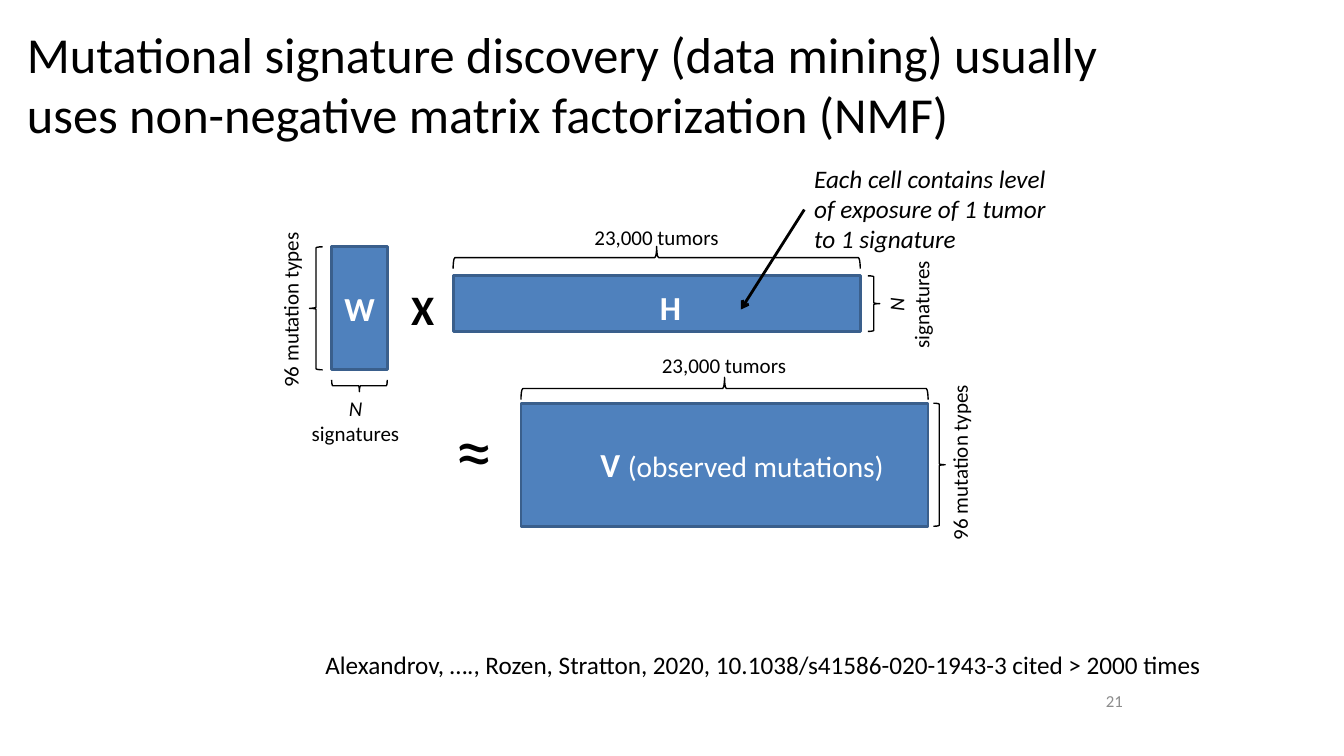
import pptx
import pptx.dml.color
import pptx.enum.shapes
import pptx.enum.text
import pptx.oxml
import pptx.oxml.ns
import pptx.util

Cm = pptx.util.Cm
Pt = pptx.util.Pt
SHAPE = pptx.enum.shapes.MSO_SHAPE
ALIGN = pptx.enum.text.PP_ALIGN
ANCHOR = pptx.enum.text.MSO_ANCHOR
FIT = pptx.enum.text.MSO_AUTO_SIZE

COLOURS = {"black": "000000", "white": "FFFFFF", "blue": "4F81BD",
           "edge": "3A5F8C", "grey": "8C8C8C"}
N_SIGNATURES = [[("N", {"italic": True})], [("signatures", {})]]


def colour(name):
    return pptx.dml.color.RGBColor.from_string(COLOURS[name])


def write(tf, text, size=15, color="black", bold=False, italic=False, align=ALIGN.LEFT):
    """Write a string, or a list of paragraphs of (text, format overrides) runs."""
    lines = [[(text, {})]] if isinstance(text, str) else text
    for i, line in enumerate(lines):
        p = tf.add_paragraph() if i else tf.paragraphs[0]
        p.alignment = align
        for words, changes in line:
            style = {"size": size, "bold": bold, "italic": italic, **changes}
            r = p.add_run()
            r.text = words
            r.font.name = "Calibri"
            r.font.size = Pt(style["size"])
            r.font.bold = style["bold"]
            r.font.italic = style["italic"]
            r.font.color.rgb = colour(color)


class Diagram:
    BRACES = {"left": (SHAPE.LEFT_BRACE, 0), "right": (SHAPE.LEFT_BRACE, 180),
              "bottom": (SHAPE.LEFT_BRACE, 270), "top": (SHAPE.RIGHT_BRACE, 270)}

    def __init__(self, prs):
        self.s = prs.slides.add_slide(prs.slide_layouts[6])

    def outline(self, sp, width, color="black"):
        sp.line.color.rgb = colour(color)
        sp.line.width = Pt(width)

    def text(self, box, text, rotation=0, wrap=False, anchor=ANCHOR.TOP, **style):
        sp = self.s.shapes.add_textbox(*map(Cm, box))
        sp.rotation = rotation
        tf = sp.text_frame
        tf.word_wrap = wrap
        tf.auto_size = FIT.NONE if wrap else FIT.SHAPE_TO_FIT_TEXT
        tf.vertical_anchor = anchor
        write(tf, text, **style)

    def matrix(self, box, label=""):
        sp = self.s.shapes.add_shape(SHAPE.RECTANGLE, *map(Cm, box))
        sp.shadow.inherit = False
        sp.fill.solid()
        sp.fill.fore_color.rgb = colour("blue")
        self.outline(sp, 2, "edge")
        if label:
            sp.text_frame.vertical_anchor = ANCHOR.MIDDLE
            write(sp.text_frame, label, size=24, color="white", bold=True, align=ALIGN.CENTER)

    def brace(self, box, side, gap, depth=0.3):
        """Span one side of a matrix box; the brace turns about its centre."""
        x, y, w, h = box
        reach = gap + depth / 2
        cx, cy = {"left": (x - reach, y + h / 2), "right": (x + w + reach, y + h / 2),
                  "top": (x + w / 2, y - reach), "bottom": (x + w / 2, y + h + reach)}[side]
        span = h if side in ("left", "right") else w
        kind, rotation = self.BRACES[side]
        sp = self.s.shapes.add_shape(kind, Cm(cx - depth / 2), Cm(cy - span / 2),
                                     Cm(depth), Cm(span))
        sp.rotation = rotation
        sp.shadow.inherit = False
        sp.fill.background()
        self.outline(sp, 1)

    def arrow(self, x1, y1, x2, y2):
        sp = self.s.shapes.add_connector(pptx.enum.shapes.MSO_CONNECTOR.STRAIGHT,
                                         Cm(x1), Cm(y1), Cm(x2), Cm(y2))
        self.outline(sp, 2)
        qn = pptx.oxml.ns.qn
        tail = sp.line._get_or_add_ln().makeelement(qn("a:tailEnd"), {"type": "arrow"})
        sp.line._get_or_add_ln().append(tail)
        sp._element.spPr.append(tail.makeelement(qn("a:effectLst"), {}))


def main():
    prs = pptx.Presentation()
    prs.slide_width, prs.slide_height = Cm(33.87), Cm(19.05)
    d = Diagram(prs)
    d.text((0.43, 0.2, 28.58, 3.81),
           "Mutational signature discovery (data mining) usually uses "
           "non-negative matrix factorization (NMF)",
           wrap=True, anchor=ANCHOR.MIDDLE, size=36)

    w_box = (8.36, 6.22, 1.4, 3.1)
    h_box = (11.42, 6.95, 10.26, 1.4)
    v_box = (13.13, 10.16, 10.26, 3.1)

    d.matrix(w_box, "W")
    d.brace(w_box, "left", 0.23, 0.33)
    d.brace(w_box, "bottom", 0.25)
    d.text((7.59, 9.83, 2.74, 1.55), N_SIGNATURES, align=ALIGN.CENTER)

    d.matrix(h_box)
    d.brace(h_box, "top", 0.18, 0.56)
    d.brace(h_box, "right", 0.19)
    d.text((21.54, 6.91, 2.74, 1.55), N_SIGNATURES, rotation=270, align=ALIGN.CENTER)
    d.arrow(20.27, 5.28, 18.67, 7.8)
    d.text((20.27, 3.99, 6.91, 2.57),
           "Each cell contains level of exposure of 1 tumor to 1 signature",
           wrap=True, size=18, italic=True)
    d.text((16.38, 7.11, 1.04, 1.27), "H", size=24, color="white", bold=True)

    d.matrix(v_box)
    d.brace(v_box, "top", 0.09, 0.56)
    d.brace(v_box, "right", 0.13)
    d.text((14.88, 11.07, 7.75, 1.27),
           [[("V ", {"bold": True}), ("(observed mutations)", {"size": 21})]],
           size=24, color="white")

    for x, y in ((5.08, 7.34), (21.95, 11.18)):
        d.text((x, y, 4.47, 0.89), "96 mutation types", rotation=270)
    for x, y in ((14.73, 5.54), (16.43, 8.76)):
        d.text((x, y, 3.68, 0.89), "23,000 tumors")

    d.text((10.11, 7.01, 1.09, 1.55), "X", size=30, bold=True)
    d.text((11.23, 10.03, 1.47, 2.57), "≈", size=54)
    d.text((7.95, 16.23, 22.68, 1.02),
           "Alexandrov, …., Rozen, Stratton, 2020, "
           "10.1038/s41586-020-1943-3 cited > 2000 times", size=18)
    d.text((22.63, 17.27, 5.92, 0.76), "21", wrap=True, anchor=ANCHOR.MIDDLE,
           size=12, color="grey", align=ALIGN.RIGHT)
    prs.save("out.pptx")


if __name__ == "__main__":
    main()
